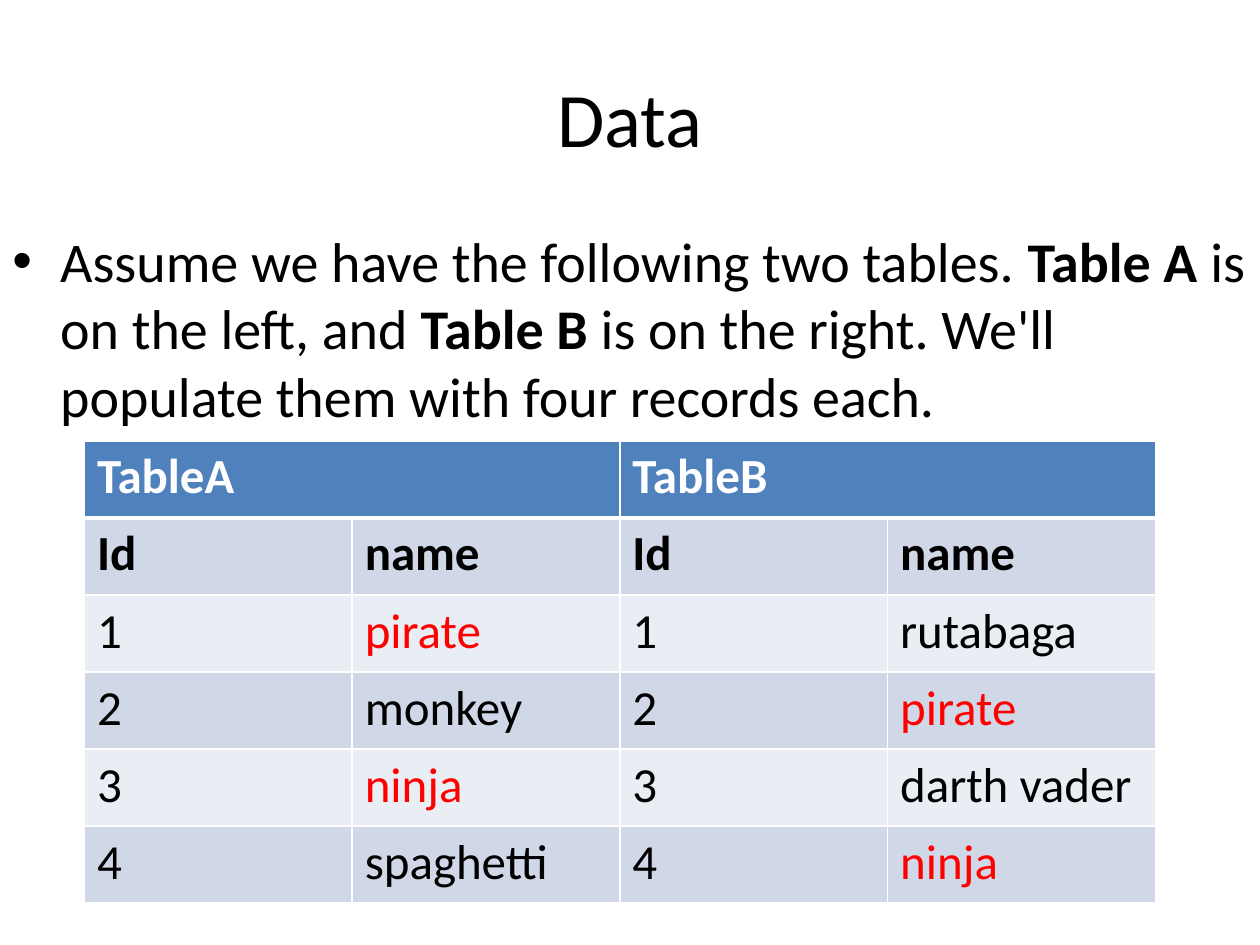
import pptx
import pptx.util
import pptx.dml.color
import pptx.enum.text
import pptx.oxml
import pptx.oxml.ns
from pptx.util import Inches

# Content
title = [("Data", False)]
intro = [
    ("Assume we have the following two tables. ", False),
    ("Table A", True),
    (" is on the left, and ", False),
    ("Table B", True),
    (" is on the right. We'll populate them with four records each. ", False),
]
heads = ["TableA", "TableB"]
rows = [
    ["Id", "name", "Id", "name"],
    ["1", "pirate", "1", "rutabaga"],
    ["2", "monkey", "2", "pirate"],
    ["3", "ninja", "3", "darth vader"],
    ["4", "spaghetti", "4", "ninja"],
]
shared = {"pirate", "ninja"}

theme = {
    "font": "Calibri", "title": 44, "body": 32, "cell": 28,
    "ink": "000000", "light": "FFFFFF", "mark": "FF0000",
    "head": "4F81BD", "bands": ["D0D8E8", "E9EDF4"],
}
anchor = pptx.enum.text.MSO_ANCHOR
align = pptx.enum.text.PP_ALIGN


def color(name):
    return pptx.dml.color.RGBColor.from_string(name)


def write(para, runs, size, ink):
    for text, bold in runs:
        run = para.add_run()
        run.text = text
        form = {"name": theme["font"], "size": pptx.util.Pt(size), "bold": bold}
        for key, value in form.items():
            setattr(run.font, key, value)
        run.font.color.rgb = color(ink)


def add_text(slide, place, runs, size, form):
    frame = slide.shapes.add_textbox(*map(Inches, place)).text_frame
    for key, value in form.items():
        setattr(frame, key, value)
    para = frame.paragraphs[0]
    write(para, runs, size, theme["ink"])
    return para


def add_edges(cell, edges):
    props = cell._tc.get_or_add_tcPr()
    for spot, (side, width) in enumerate(edges.items()):
        props.insert(spot, pptx.oxml.parse_xml(
            f'<a:ln{side} {pptx.oxml.ns.nsdecls("a")} w="{pptx.util.Pt(width)}">'
            f'<a:solidFill><a:srgbClr val="{theme["light"]}"/></a:solidFill>'
            f'</a:ln{side}>'))


def fill_cell(cell, text, bold, ink, back, edges):
    write(cell.text_frame.paragraphs[0], [(text, bold)], theme["cell"], ink)
    cell.fill.solid()
    cell.fill.fore_color.rgb = color(back)
    add_edges(cell, edges)


deck = pptx.Presentation()
deck.slide_width, deck.slide_height = Inches(10), Inches(7.5)
slide = deck.slides.add_slide(deck.slide_layouts[6])

# Title
para = add_text(slide, (0.5, 0.3, 9, 1.25), title, theme["title"],
                {"word_wrap": True, "vertical_anchor": anchor.MIDDLE})
para.alignment = align.CENTER

# Bulleted text
para = add_text(slide, (0, 1.75, 10, 1.75), intro, theme["body"],
                {"word_wrap": True, "vertical_anchor": anchor.TOP})
para.space_before = pptx.util.Pt(theme["body"] * 0.2)
props = para._p.get_or_add_pPr()
hang = Inches(0.38)
props.set("marL", str(hang))
props.set("indent", str(-hang))
for tag in ('buFont {} typeface="Arial"', 'buChar {} char="•"'):
    props.append(pptx.oxml.parse_xml(
        f'<a:{tag.format(pptx.oxml.ns.nsdecls("a"))}/>'))

# Table
count, span = len(rows[0]), len(rows[0]) // len(heads)
grid = slide.shapes.add_table(len(rows) + 1, count, Inches(0.67), Inches(3.5),
                              Inches(8.5), Inches(3.67)).table
for col, text in enumerate(heads):
    first = grid.cell(0, col * span)
    first.merge(grid.cell(0, col * span + span - 1))
    for part in range(span):
        fill_cell(grid.cell(0, col * span + part), "" if part else text, True,
                  theme["light"], theme["head"], {"L": 1, "R": 1, "T": 1, "B": 3})

for row, line in enumerate(rows):
    for col, text in enumerate(line):
        fill_cell(grid.cell(row + 1, col), text, row == 0,
                  theme["mark"] if text in shared else theme["ink"],
                  theme["bands"][row % 2],
                  {"L": 1, "R": 1, "T": 1 if row else 3, "B": 1})

deck.save("out.pptx")
